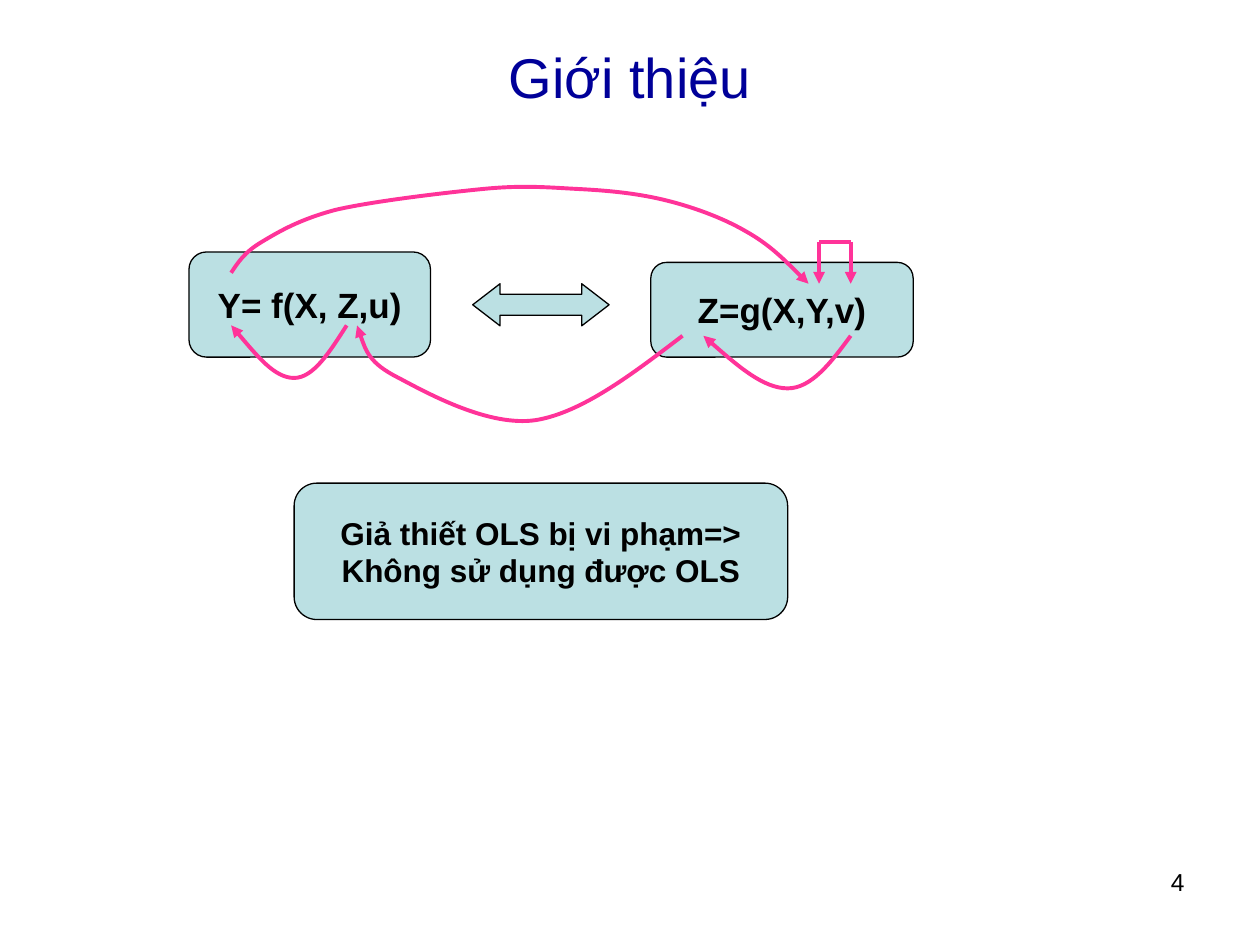
from pptx import Presentation
from pptx.dml.color import RGBColor
from pptx.enum.shapes import MSO_CONNECTOR, MSO_SHAPE as Preset
from pptx.enum.text import MSO_ANCHOR as Anchor, PP_ALIGN as Align
from pptx.oxml.ns import qn
from pptx.util import Cm, Pt
from lxml.etree import SubElement

COLORS = {"title": "000099", "text": "000000", "box": "BBE0E3",
          "border": "000000", "link": "FF3399"}


class Painter:
    """Holds the style and the slide being drawn; lengths are centimetres."""
    font = "Arial"
    border_width = Pt(0.75)
    link_width = Pt(2.25)

    def __init__(self, slide):
        self.slide = slide

    def color(self, name):
        return RGBColor.from_string(COLORS[name])

    def set_text(self, shape, lines, size, color="text", bold=False,
                 align=Align.CENTER, anchor=Anchor.MIDDLE, wrap=False):
        frame = shape.text_frame
        frame.text = "\n".join(lines)
        frame.word_wrap = wrap
        frame.vertical_anchor = anchor
        for paragraph in frame.paragraphs:
            paragraph.alignment = align
            font = paragraph.font
            font.name, font.size, font.bold = self.font, Pt(size), bold
            font.color.rgb = self.color(color)

    def label(self, place, text, size, **style):
        box = self.slide.shapes.add_textbox(*map(Cm, place))
        self.set_text(box, [text], size, wrap=True, **style)

    def shape(self, preset, place):
        shape = self.slide.shapes.add_shape(preset, *map(Cm, place))
        shape.shadow.inherit = False
        shape.fill.solid()
        shape.fill.fore_color.rgb = self.color("box")
        shape.line.color.rgb = self.color("border")
        shape.line.width = self.border_width
        return shape

    def box(self, place, lines, size):
        box = self.shape(Preset.ROUNDED_RECTANGLE, place)
        self.set_text(box, lines, size, bold=True)

    def style_link(self, link, arrow):
        """Colour a line; arrow is "headEnd", "tailEnd" or None."""
        link.line.color.rgb = self.color("link")
        link.line.width = self.link_width
        if arrow:
            outline = link.element.spPr.find(qn("a:ln"))
            SubElement(outline, qn("a:" + arrow), type="triangle")

    def line(self, start, end, arrow=None):
        line = self.slide.shapes.add_connector(
            MSO_CONNECTOR.STRAIGHT, *map(Cm, start + end))
        self.style_link(line, arrow)
        SubElement(line.element.spPr, qn("a:effectLst"))

    def curve(self, points, arrow):
        """Draw Bezier segments: a start, then two controls and an end each."""
        start, *rest = [(Cm(x), Cm(y)) for x, y in points]
        builder = self.slide.shapes.build_freeform(*start)
        builder.add_line_segments(rest, close=False)
        curve = builder.convert_to_shape()
        steps = list(curve.element.iter(qn("a:lnTo")))
        outline = steps[0].getparent()
        for first in range(0, len(steps), 3):
            bezier = SubElement(outline, qn("a:cubicBezTo"))
            for step in steps[first:first + 3]:
                bezier.append(step[0])
                outline.remove(step)
        curve.shadow.inherit = False
        curve.fill.background()
        self.style_link(curve, arrow)


def main():
    deck = Presentation()
    deck.slide_width, deck.slide_height = Cm(25.4), Cm(19.05)
    painter = Painter(deck.slides.add_slide(deck.slide_layouts[6]))

    painter.label((18.2, 17.35, 5.93, 1.32), "4", 14,
                  align=Align.RIGHT, anchor=Anchor.TOP)
    painter.label((1.27, 0.42, 22.86, 2.22), "Giới thiệu", 32, color="title")
    painter.box((3.81, 5.08, 4.87, 2.12), ["Y= f(X, Z,u)"], 20)
    painter.box((13.12, 5.29, 5.29, 1.91), ["Z=g(X,Y,v)"], 20)

    z_to_y = [(7.2, 6.56), (7.32, 6.94), (7.44, 7.32), (8.04, 7.62),
              (8.64, 7.94), (9.86, 8.61), (10.8, 8.47),
              (11.73, 8.32), (12.75, 7.54), (13.76, 6.77)]
    within_y = [(6.99, 6.56), (6.65, 7.09), (6.32, 7.62), (5.93, 7.62),
                (5.54, 7.62), (5.11, 7.09), (4.66, 6.56)]
    within_z = [(14.18, 6.77), (14.78, 7.3), (15.39, 7.83), (15.88, 7.83),
                (16.36, 7.83), (16.76, 7.3), (17.15, 6.77)]
    y_to_z = [(4.66, 5.5), (4.8, 5.29), (4.93, 5.08), (5.29, 4.87),
              (5.64, 4.66), (6.05, 4.42), (6.77, 4.23),
              (7.51, 4.06), (8.92, 3.89), (9.74, 3.81),
              (10.55, 3.73), (11.06, 3.78), (11.64, 3.81),
              (12.23, 3.84), (12.78, 3.89), (13.34, 4.02),
              (13.9, 4.15), (14.53, 4.37), (15.03, 4.66),
              (15.53, 4.94), (15.9, 5.33), (16.3, 5.72)]
    for points, arrow in ((z_to_y, "headEnd"), (within_y, "tailEnd"),
                          (within_z, "headEnd"), (y_to_z, "tailEnd")):
        painter.curve(points, arrow)

    left, right, top, bottom = 16.51, 17.15, 4.87, 5.72
    painter.line((left, top), (right, top))
    for x in (left, right):
        painter.line((x, top), (x, bottom), "tailEnd")

    both_ways = painter.shape(Preset.LEFT_RIGHT_ARROW, (9.53, 5.72, 2.75, 0.85))
    both_ways.adjustments[1] = 0.65
    painter.box((5.93, 9.74, 9.95, 2.75),
                ["Giả thiết OLS bị vi phạm=>", "Không sử dụng được OLS"], 18)

    deck.save("out.pptx")


if __name__ == "__main__":
    main()
